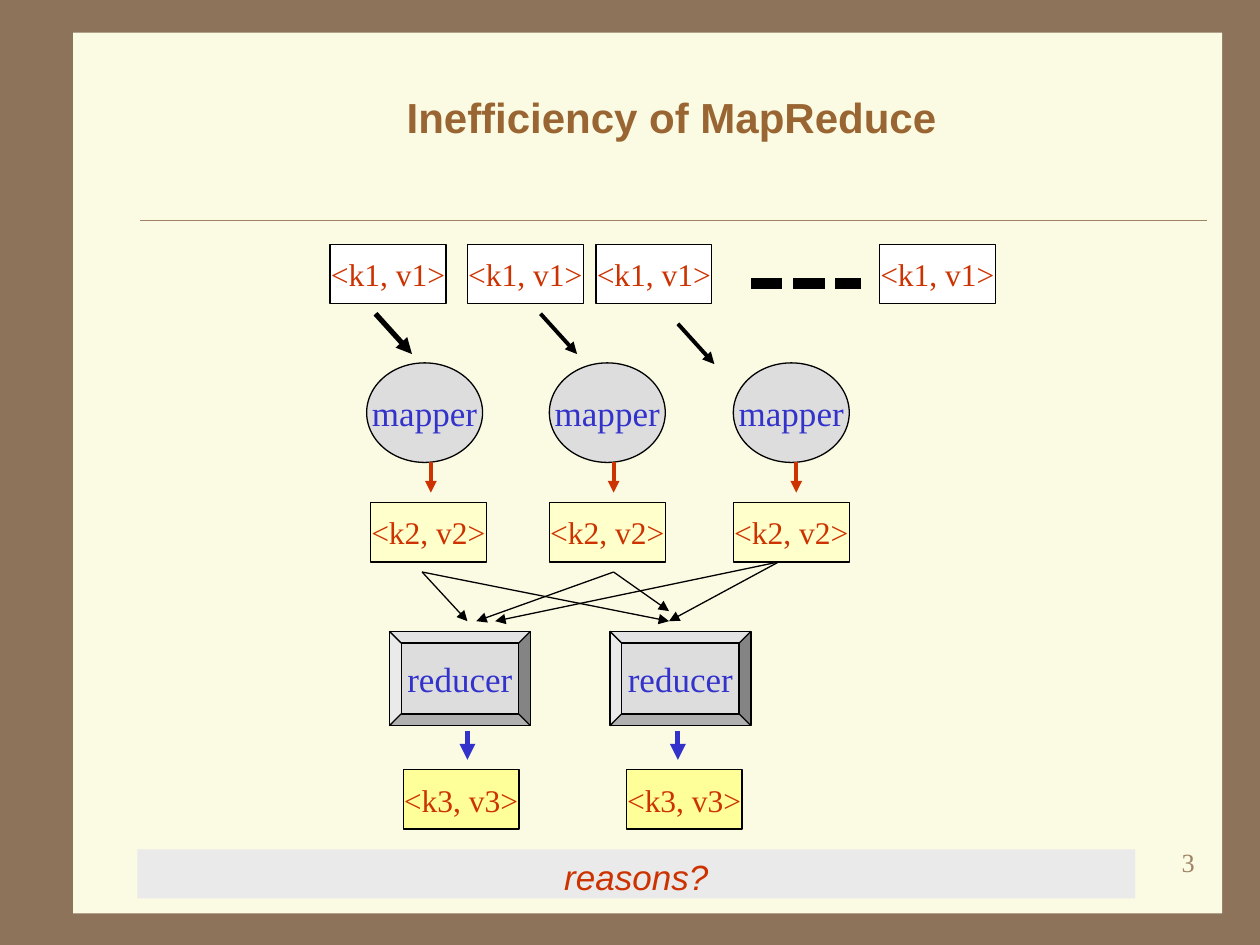
from dataclasses import dataclass

from lxml import etree
from pptx import Presentation
from pptx.dml.color import RGBColor
from pptx.enum.dml import MSO_LINE
from pptx.enum.shapes import MSO_CONNECTOR, MSO_SHAPE
from pptx.enum.text import MSO_ANCHOR, PP_ALIGN
from pptx.oxml.ns import qn
from pptx.util import Inches, Pt

RECT, OVAL, BEVEL = MSO_SHAPE.RECTANGLE, MSO_SHAPE.OVAL, MSO_SHAPE.BEVEL
STRAIGHT, DOTS = MSO_CONNECTOR.STRAIGHT, MSO_LINE.SQUARE_DOT
TOP, MIDDLE = MSO_ANCHOR.TOP, MSO_ANCHOR.MIDDLE
CENTER, RIGHT = PP_ALIGN.CENTER, PP_ALIGN.RIGHT


@dataclass(frozen=True)
class Theme:
    frame: str = "8C735A"
    paper: str = "FBFAE2"
    rule: str = "A08366"
    title: str = "996633"
    black: str = "000000"
    red: str = "CC3300"
    blue: str = "3333CC"
    gray: str = "DDDDDD"
    banner: str = "EAEAEA"
    input: str = "FFFFFF"
    middle: str = "FFFFCC"
    output: str = "FFFF99"
    sans: str = "Arial"
    serif: str = "Times New Roman"
    title_size: int = 24
    node_size: int = 20
    pair_size: int = 18
    number_size: int = 15


T = Theme()
TITLE, QUESTION, NUMBER = "Inefficiency of MapReduce", "reasons?", "3"

PAIR = dict(kind=RECT, width=0.92, height=0.47, color=T.red, size=T.pair_size)
NODE = dict(fill=T.gray, color=T.blue, size=T.node_size)
MAPPER = dict(NODE, kind=OVAL, width=0.92, height=0.79)
REDUCER = dict(NODE, kind=BEVEL, width=1.12, height=0.75)

STAGES = [
    ("<k1, v1>", 1.94, (2.62, 3.71, 4.73, 6.98), dict(PAIR, fill=T.input)),
    ("mapper", 2.88, (2.91, 4.36, 5.82), MAPPER),
    ("<k2, v2>", 3.99, (2.94, 4.36, 5.82), dict(PAIR, fill=T.middle)),
    ("reducer", 5.01, (3.09, 4.84), REDUCER),
    ("<k3, v3>", 6.11, (3.2, 4.97), dict(PAIR, fill=T.output)),
]

INPUT_STARTS = [(2.98, 2.49, 3), (4.29, 2.49, 2.25), (5.38, 2.57, 2.25)]
MAPPER_EXITS = (3.42, 4.87, 6.32)
REDUCER_EXITS = (3.71, 5.38)
SHUFFLE = [
    ((3.35, 4.54), [(3.71, 4.93), (5.31, 4.93)]),
    ((4.87, 4.54), [(3.78, 4.93), (5.31, 4.85)]),
    ((6.18, 4.46), [(3.93, 4.93), (5.31, 4.93)]),
]


def rgb(value):
    return RGBColor.from_string(value)


def add_text(sp, text, *, size, color, font=T.serif, align=CENTER, anchor=MIDDLE,
             wrap=True, bold=False, italic=False, spacing=None):
    tf = sp.text_frame
    tf.word_wrap, tf.vertical_anchor = wrap, anchor
    p = tf.paragraphs[0]
    p.alignment, p.line_spacing = align, spacing
    r = p.add_run()
    r.text = text
    r.font.name, r.font.size = font, Pt(size)
    r.font.bold, r.font.italic = bold, italic
    r.font.color.rgb = rgb(color)


def add_box(s, kind, box, fill, line=None):
    sp = s.shapes.add_shape(kind, *map(Inches, box))
    sp.shadow.inherit = False
    sp.fill.solid()
    sp.fill.fore_color.rgb = rgb(fill)
    if line:
        sp.line.color.rgb = rgb(line)
        sp.line.width = Pt(0.75)
    else:
        sp.line.fill.background()
    return sp


def add_line(s, start, end, color=T.black, width=0.75, arrow=True, dash=None):
    cx = s.shapes.add_connector(STRAIGHT, *map(Inches, (*start, *end)))
    cx.line.color.rgb = rgb(color)
    cx.line.width = Pt(width)
    if dash:
        cx.line.dash_style = dash
    if arrow:
        ln = cx.line._get_or_add_ln()
        etree.SubElement(ln, qn("a:tailEnd"), type="triangle")
    etree.SubElement(cx._element.spPr, qn("a:effectLst"))


def add_node(s, text, left, top, kind, width, height, fill, color, size):
    sp = add_box(s, kind, (left, top, width, height), fill, T.black)
    add_text(sp, text, size=size, color=color, wrap=False)


def add_page(s):
    s.background.fill.solid()
    s.background.fill.fore_color.rgb = rgb(T.frame)
    add_box(s, RECT, (0.58, 0.26, 9.12, 6.99), T.paper)
    add_line(s, (1.11, 1.75), (9.58, 1.75), T.rule, 0.25, arrow=False)
    number = s.shapes.add_textbox(*map(Inches, (7.5, 6.67, 2.08, 0.5)))
    add_text(number, NUMBER, size=T.number_size, color=T.rule, align=RIGHT, anchor=TOP)
    title = s.shapes.add_textbox(*map(Inches, (1.08, 0.5, 8.5, 0.9)))
    add_text(title, TITLE, size=T.title_size, color=T.title, font=T.sans,
             bold=True, spacing=0.93)
    banner = add_box(s, RECT, (1.09, 6.74, 7.92, 0.39), T.banner)
    add_text(banner, QUESTION, size=T.node_size, color=T.red, font=T.sans,
             italic=True, anchor=TOP)


def add_flow(s):
    for text, top, lefts, style in STAGES:
        for left in lefts:
            add_node(s, text, left, top, **style)
    add_line(s, (5.96, 2.25), (6.83, 2.25), width=6, arrow=False, dash=DOTS)
    for x, y, width in INPUT_STARTS:
        add_line(s, (x, y), (x + 0.29, y + 0.32), width=width)
    for x in MAPPER_EXITS:
        add_line(s, (x, 3.67), (x, 3.91), T.red, 2.25)
    for start, ends in SHUFFLE:
        for end in ends:
            add_line(s, start, end)
    for x in REDUCER_EXITS:
        add_line(s, (x, 5.8), (x, 6.03), T.blue, 3)


def main():
    """Build the MapReduce data flow slide."""
    prs = Presentation()
    prs.slide_width, prs.slide_height = Inches(10), Inches(7.5)
    s = prs.slides.add_slide(prs.slide_layouts[6])
    add_page(s)
    add_flow(s)
    prs.save("out.pptx")


if __name__ == "__main__":
    main()
